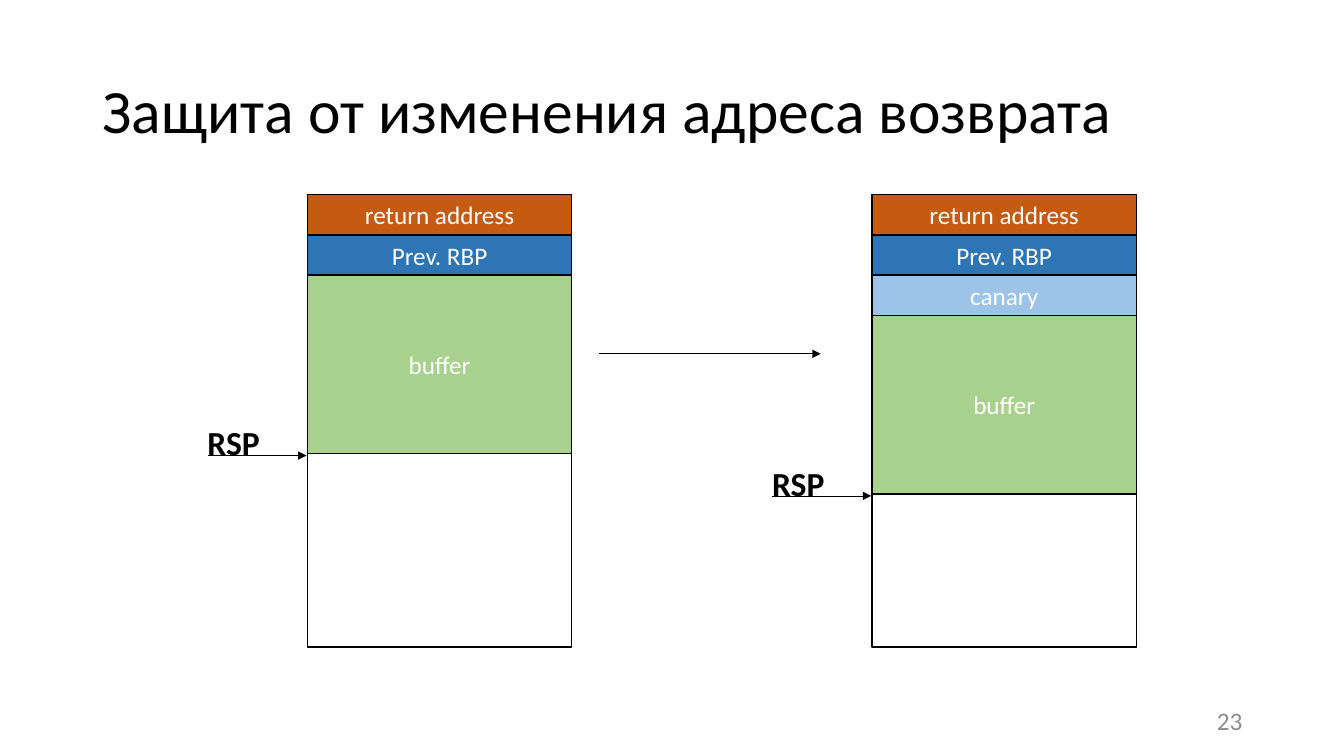
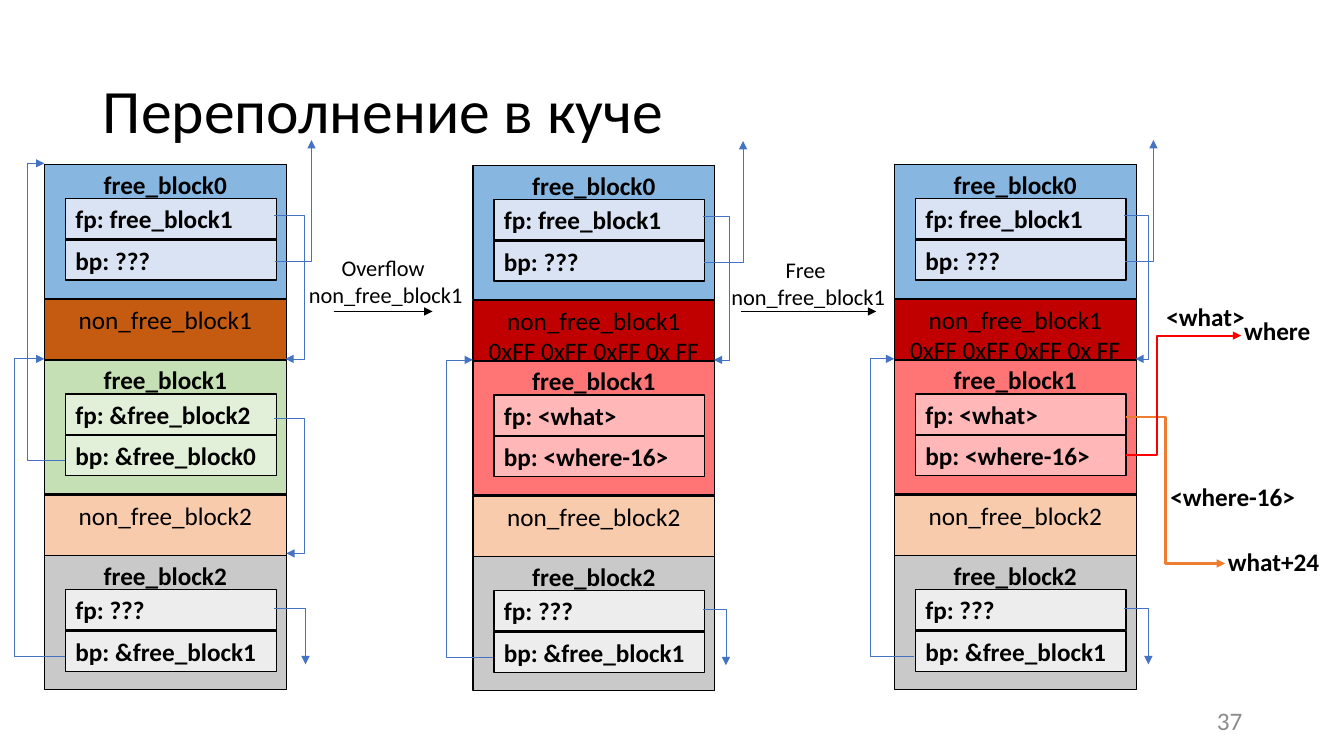
from dataclasses import dataclass

from lxml.etree import SubElement
from pptx import Presentation
from pptx.dml.color import RGBColor
from pptx.enum.shapes import MSO_CONNECTOR as Link, MSO_SHAPE as Shape
from pptx.enum.text import MSO_ANCHOR as Anchor, MSO_AUTO_SIZE as AutoSize, PP_ALIGN as Align
from pptx.oxml.ns import qn
from pptx.util import Inches, Pt

FONT = "Calibri"
BLACK = RGBColor(0x00, 0x00, 0x00)
WHITE = RGBColor(0xFF, 0xFF, 0xFF)
GRAY = RGBColor(0x8C, 0x8C, 0x8C)
RUST = RGBColor(0xC5, 0x5A, 0x11)
BLUE = RGBColor(0x2E, 0x75, 0xB6)
SKY = RGBColor(0x9D, 0xC3, 0xE6)
GREEN = RGBColor(0xA9, 0xD1, 0x8E)
PEACH = RGBColor(0xF8, 0xCB, 0xAD)
DARK_RED = RGBColor(0xC0, 0x00, 0x00)
RED = RGBColor(0xFF, 0x00, 0x00)
ORANGE = RGBColor(0xED, 0x7D, 0x31)
POINTER = RGBColor(0x44, 0x72, 0xC4)
BLUE_PAIR = RGBColor(0x87, 0xB6, 0xE1), RGBColor(0xDA, 0xE3, 0xF3)
GREEN_PAIR = RGBColor(0xC5, 0xE0, 0xB4), RGBColor(0xE2, 0xF0, 0xD9)
RED_PAIR = RGBColor(0xFF, 0x75, 0x75), RGBColor(0xFF, 0xB7, 0xB7)
GRAY_PAIR = RGBColor(0xC9, 0xC9, 0xC9), RGBColor(0xED, 0xED, 0xED)

STACK_WIDTH = 2.62
STACK_HEIGHT = 4.49
BAND = 0.4
HEAP_WIDTH = 2.4
FREE_HEIGHT = 1.33
USED_HEIGHT = 0.6
BLOCK_STEP = 1.94
FIELD_INDENT = 0.21
FIELD_WIDTH = 2.09
FIELD_OFFSETS = 0.34, 0.75


@dataclass
class Heap:
    """State of the heap: its place, contents and pointer lanes."""
    left: float
    top: float
    used_text: str
    used_fill: RGBColor
    middle_pair: tuple
    middle_fields: tuple
    next_lane: float
    up_lane: float
    down_lane: float
    back_lane: float


HEAPS = (
    Heap(0.44, 1.63, "non_free_block1", RUST, GREEN_PAIR,
         ("fp: &free_block2", "bp: &free_block0"), 2.58, 2.65, 2.59, -0.3),
    Heap(4.69, 1.64, "non_free_block1\n0xFF 0xFF 0xFF 0x FF", DARK_RED, RED_PAIR,
         ("fp: <what>", "bp: <where-16>"), 2.54, 2.68, 2.51, -0.26),
    Heap(8.87, 1.63, "non_free_block1\n0xFF 0xFF 0xFF 0x FF", DARK_RED, RED_PAIR,
         ("fp: <what>", "bp: <where-16>"), 2.52, 2.57, 2.52, -0.24),
)


def write(shape, text, *, size=18, color=BLACK, bold=False, align=Align.LEFT,
          anchor=Anchor.TOP, wrap=True, spacing=None):
    """Fill a shape with formatted text."""
    frame = shape.text_frame
    frame.text = text
    frame.word_wrap = wrap
    frame.vertical_anchor = anchor
    for para in frame.paragraphs:
        para.alignment = align
        if spacing:
            para.line_spacing = spacing
        for span in para.runs:
            span.font.name = FONT
            span.font.size = Pt(size)
            span.font.bold = bold
            span.font.color.rgb = color


def add_label(page, box, text, *, grow=True, **style):
    """Add a text box."""
    label = page.shapes.add_textbox(*map(Inches, box))
    write(label, text, **style)
    if grow:
        label.text_frame.auto_size = AutoSize.SHAPE_TO_FIT_TEXT


def add_block(page, box, text="", fill=None, **style):
    """Add an outlined rectangle, filled and lettered when asked."""
    block = page.shapes.add_shape(Shape.RECTANGLE, *map(Inches, box))
    block.shadow.inherit = False
    block.line.color.rgb = BLACK
    block.line.width = Pt(1)
    if fill is None:
        block.fill.background()
    else:
        block.fill.solid()
        block.fill.fore_color.rgb = fill
    if text:
        write(block, text, **style)


def add_arrow(page, start, end, *, kind=Link.STRAIGHT, color=BLACK, width=0.5, tip="tailEnd"):
    """Add an arrow and return its geometry element."""
    arrow = page.shapes.add_connector(kind, *map(Inches, (*start, *end)))
    arrow.line.color.rgb = color
    arrow.line.width = Pt(width)
    props = arrow._element.spPr
    SubElement(props.find(qn("a:ln")), qn("a:" + tip), type="triangle")
    SubElement(props, qn("a:effectLst"))
    return props.find(qn("a:prstGeom"))


def add_detour(page, start, end, lane, **style):
    """Add an elbow arrow whose vertical part runs at the lane."""
    geometry = add_arrow(page, start, end, kind=Link.ELBOW, **style)
    ratio = (lane - start[0]) / (end[0] - start[0])
    SubElement(geometry.find(qn("a:avLst")), qn("a:gd"),
               name="adj1", fmla=f"val {round(ratio * 100000)}")


def add_corner(page, start, end):
    """Add a pointer arrow with a single turn."""
    add_arrow(page, start, end, kind=Link.ELBOW, color=POINTER).set("prst", "bentConnector2")


def add_page(deck, title, number):
    """Add a slide with its title and number."""
    page = deck.slides.add_slide(deck.slide_layouts[5])
    heading = page.shapes.title
    heading.left, heading.top, heading.width, heading.height = map(Inches, (0.92, 0.4, 11.5, 1.45))
    write(heading, title, size=44, anchor=Anchor.MIDDLE, spacing=0.9)
    add_label(page, (9.42, 6.95, 3, 0.4), number, grow=False, color=GRAY,
              align=Align.RIGHT, anchor=Anchor.MIDDLE)
    return page


def draw_stack(page, left, top, bands):
    """Draw a stack frame with its bands and the RSP mark under the last."""
    add_block(page, (left, top, STACK_WIDTH, STACK_HEIGHT))
    bottom = top
    for text, fill, height in bands:
        add_block(page, (left, bottom, STACK_WIDTH, height), text, fill,
                  color=WHITE, align=Align.CENTER, anchor=Anchor.MIDDLE)
        bottom += height
    level = bottom + 0.02
    add_arrow(page, (left - 0.99, level), (left - 0.01, level))
    add_label(page, (left - 1.09, level - 0.38, 0.73, 0.5), "RSP", size=24, bold=True, wrap=False)


def draw_free_block(page, left, top, name, fields, pair):
    """Draw a free block with its two pointer fields."""
    add_block(page, (left, top, HEAP_WIDTH, FREE_HEIGHT), name, pair[0],
              bold=True, align=Align.CENTER)
    for offset, field in zip(FIELD_OFFSETS, fields):
        add_block(page, (left + FIELD_INDENT, top + offset, FIELD_WIDTH, BAND),
                  field, pair[1], bold=True)


def draw_heap(page, heap):
    """Draw a heap column with the pointers that all states share."""
    left, top = heap.left, heap.top
    used = (heap.used_text, heap.used_fill), ("non_free_block2", PEACH)
    for index, (text, fill) in enumerate(used):
        add_block(page, (left, top + FREE_HEIGHT + 0.01 + index * BLOCK_STEP,
                         HEAP_WIDTH, USED_HEIGHT), text, fill, align=Align.CENTER)
    free = (
        (("fp: free_block1", "bp: ???"), BLUE_PAIR),
        (heap.middle_fields, heap.middle_pair),
        (("fp: ???", "bp: &free_block1"), GRAY_PAIR),
    )
    for index, (fields, pair) in enumerate(free):
        draw_free_block(page, left, top + index * BLOCK_STEP, f"free_block{index}", fields, pair)
    edge = left + 2.28
    add_detour(page, (edge, top + 0.51), (left + 2.39, top + 1.93),
               left + heap.next_lane, color=POINTER)
    add_detour(page, (left, top + 1.93), (left + 0.2, top + 4.88),
               left + heap.back_lane, color=POINTER, tip="headEnd")
    add_corner(page, (edge + 0.01, top + 0.96), (left + heap.up_lane, top - 0.24))
    add_corner(page, (edge, top + 4.41), (left + heap.down_lane, top + 4.96))


def draw_intact_links(page, heap):
    """Draw the pointers that exist only before the overflow."""
    left, top = heap.left, heap.top
    add_detour(page, (left + 2.28, top + 2.52), (left + 2.4, top + 3.86),
               left + heap.next_lane, color=POINTER)
    add_detour(page, (left, top - 0.01), (left + 0.2, top + 2.94),
               left - 0.17, color=POINTER, tip="headEnd")


def draw_forged_links(page, heap):
    """Draw the forged pointers and their targets."""
    left, top = heap.left, heap.top
    edge = left + 2.3
    add_detour(page, (edge, top + 2.51), (left + 3.28, top + 3.96),
               left + 2.69, color=ORANGE, width=1.5)
    add_detour(page, (edge, top + 2.88), (left + 3.44, top + 1.7),
               left + 2.61, color=RED, width=1.5)
    add_label(page, (left + 3.37, top + 1.45, 0.86, BAND), "where", bold=True, wrap=False)
    for text, across, down, width in (
        ("<what>", 2.6, 1.31, 1.06),
        ("<where-16>", 2.64, 3.1, 1.6),
        ("what+24", 3.21, 3.74, 1.21),
    ):
        add_label(page, (left + across, top + down, width, BAND), text, bold=True)


def draw_step(page, text, left, top, start, end):
    """Draw a labelled arrow between two heap states."""
    add_arrow(page, (start, 3.09), (end, 3.09))
    add_label(page, (left, top, 1.75, 0.64), text, size=16, align=Align.CENTER, wrap=False)


def build_stack_page(deck):
    """Build the slide on return address protection."""
    page = add_page(deck, "Защита от изменения адреса возврата", "23")
    saved = [("return address", RUST, BAND), ("Prev. RBP", BLUE, BAND)]
    canary = ("canary", SKY, BAND)
    buffer = ("buffer", GREEN, 1.77)
    draw_stack(page, 3.05, 1.93, [*saved, buffer])
    draw_stack(page, 8.65, 1.93, [*saved, canary, buffer])
    add_arrow(page, (5.94, 3.51), (8.14, 3.51))


def build_heap_page(deck):
    """Build the slide on heap overflow."""
    page = add_page(deck, "Переполнение в куче", "37")
    for heap in HEAPS:
        draw_heap(page, heap)
    draw_intact_links(page, HEAPS[0])
    draw_forged_links(page, HEAPS[-1])
    draw_step(page, "Overflow \vnon_free_block1", 2.95, 2.47, 3.31, 4.29)
    draw_step(page, "Free \vnon_free_block1", 7.14, 2.49, 7.35, 8.69)


def main():
    """Build and save the deck."""
    deck = Presentation()
    deck.slide_width, deck.slide_height = Inches(13.33), Inches(7.5)
    build_stack_page(deck)
    build_heap_page(deck)
    deck.save("out.pptx")


if __name__ == "__main__":
    main()
